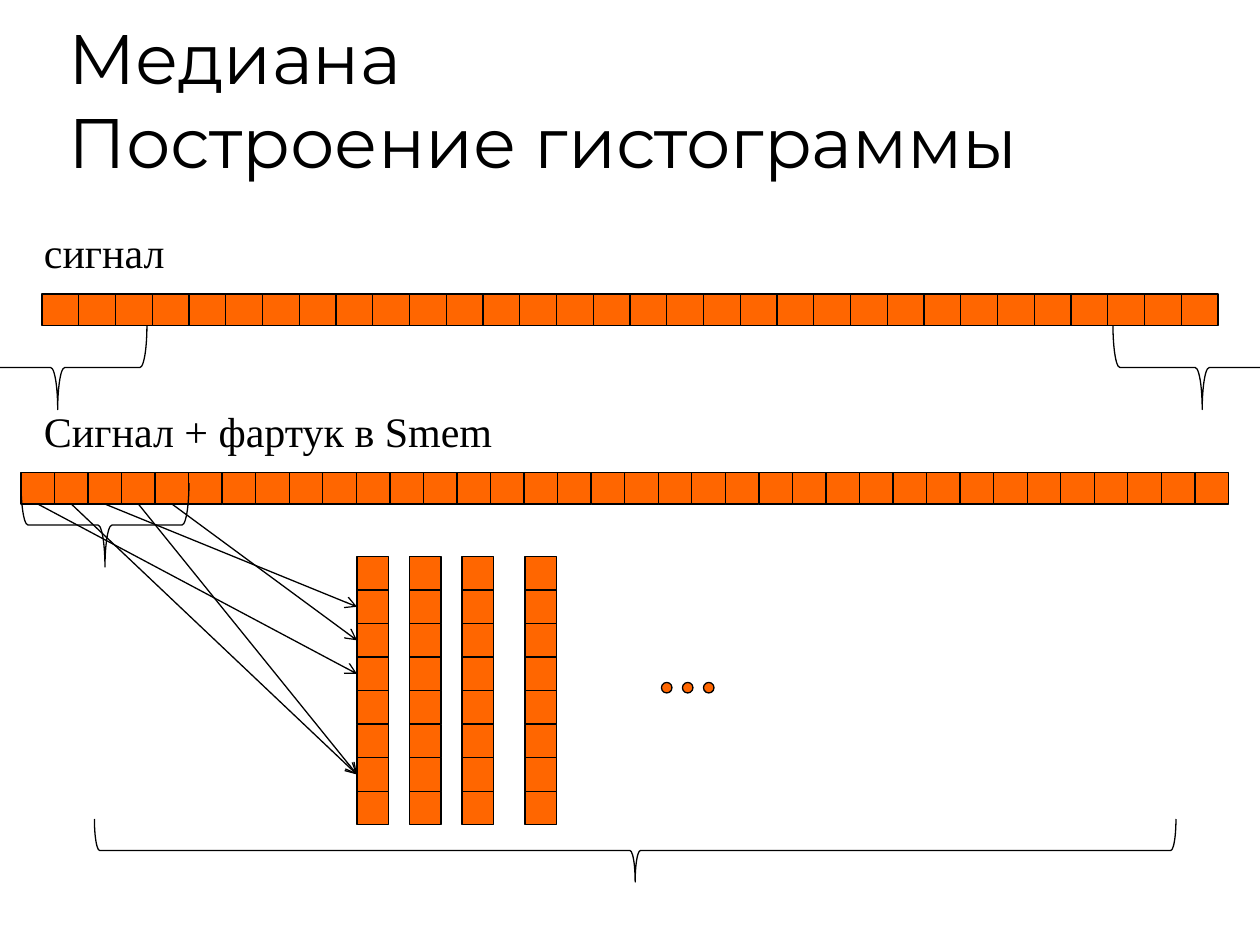
"""Build the slide on filling median histograms from a signal."""
from dataclasses import dataclass

from lxml import etree
from pptx import Presentation
from pptx import util as u
from pptx.dml.color import RGBColor
from pptx.enum import shapes, text
from pptx.oxml.ns import qn


@dataclass(frozen=True)
class Theme:
    ink: RGBColor = RGBColor(0, 0, 0)
    cell: RGBColor = RGBColor(0xFF, 0x66, 0x00)
    head: str = "Montserrat"
    body: str = "Times New Roman"
    big: float = 40
    mid: float = 24
    thin: float = 0.75


class Board:
    def __init__(self, deck, theme):
        self.theme = theme
        self.slide = deck.slides.add_slide(deck.slide_layouts[5])

    def font(self, frame, name, size):
        for par in frame.paragraphs:
            par.alignment = text.PP_ALIGN.LEFT
            par.font.name = name
            par.font.size = u.Pt(size)
            par.font.color.rgb = self.theme.ink

    def stroke(self, item):
        item.line.color.rgb = self.theme.ink
        item.line.width = u.Pt(self.theme.thin)

    def title(self, words, *box):
        item = self.slide.shapes.title
        item.left, item.top, item.width, item.height = map(u.Pt, box)
        frame = item.text_frame
        frame.text = words
        frame.auto_size = text.MSO_AUTO_SIZE.NONE
        frame.vertical_anchor = text.MSO_ANCHOR.BOTTOM
        self.font(frame, self.theme.head, self.theme.big)

    def label(self, words, *box):
        frame = self.slide.shapes.add_textbox(*map(u.Pt, box)).text_frame
        frame.word_wrap = True
        frame.text = words
        frame.auto_size = text.MSO_AUTO_SIZE.SHAPE_TO_FIT_TEXT
        self.font(frame, self.theme.body, self.theme.mid)

    def shape(self, kind, *box):
        item = self.slide.shapes.add_shape(kind, *map(u.Pt, box))
        item.shadow.inherit = False
        self.stroke(item)
        return item

    def solid(self, kind, *box):
        item = self.shape(kind, *box)
        item.fill.solid()
        item.fill.fore_color.rgb = self.theme.cell
        return item

    def cells(self, count, left, top, wide, high, down=False):
        dx, dy = (0, high) if down else (wide, 0)
        kind = shapes.MSO_SHAPE.RECTANGLE
        return [self.solid(kind, left + i * dx, top + i * dy, wide, high)
                for i in range(count)]

    def brace(self, left, top, wide, high):
        shift = (wide - high) / 2
        item = self.shape(shapes.MSO_SHAPE.LEFT_BRACE,
                          left + shift, top - shift, high, wide)
        item.rotation = 270
        item.fill.background()

    def arrow(self, start, end):
        link = self.slide.shapes.add_connector(
            shapes.MSO_CONNECTOR.STRAIGHT, 0, 0, 0, 0)
        link.begin_connect(start, 2)
        link.end_connect(end, 1)
        self.stroke(link)
        props = link.element.spPr
        etree.SubElement(props.find(qn("a:ln")), qn("a:tailEnd"), type="arrow")
        etree.SubElement(props, qn("a:effectLst"))


def main():
    deck = Presentation()
    deck.slide_width, deck.slide_height = u.Pt(720), u.Pt(540)
    board = Board(deck, Theme())
    board.title("Медиана\vПостроение гистограммы", 32, 18, 612, 90)

    board.cells(32, 24, 168, 21, 18)
    board.label("сигнал", 18, 126, 306, 36)
    for left in (-18, 636):
        board.brace(left, 186, 102, 48)

    step = 690 / 36
    board.label("Сигнал + фартук в Smem", 18, 228, 306, 36)
    row = board.cells(36, 12, 270, step, 18)
    board.brace(12, 276, 96, 48)

    bins, *_ = [board.cells(8, left, 318, 18, step, down=True)
                for left in (204, 234, 264, 300)]
    for cell, slot in zip(row, (3, 6, 1, 6, 2)):
        board.arrow(cell, bins[slot])
    board.brace(54, 468, 618, 36)

    for i in range(3):
        board.solid(shapes.MSO_SHAPE.OVAL, 378 + 12 * i, 390, 6, 6)
    deck.save("out.pptx")


if __name__ == "__main__":
    main()
